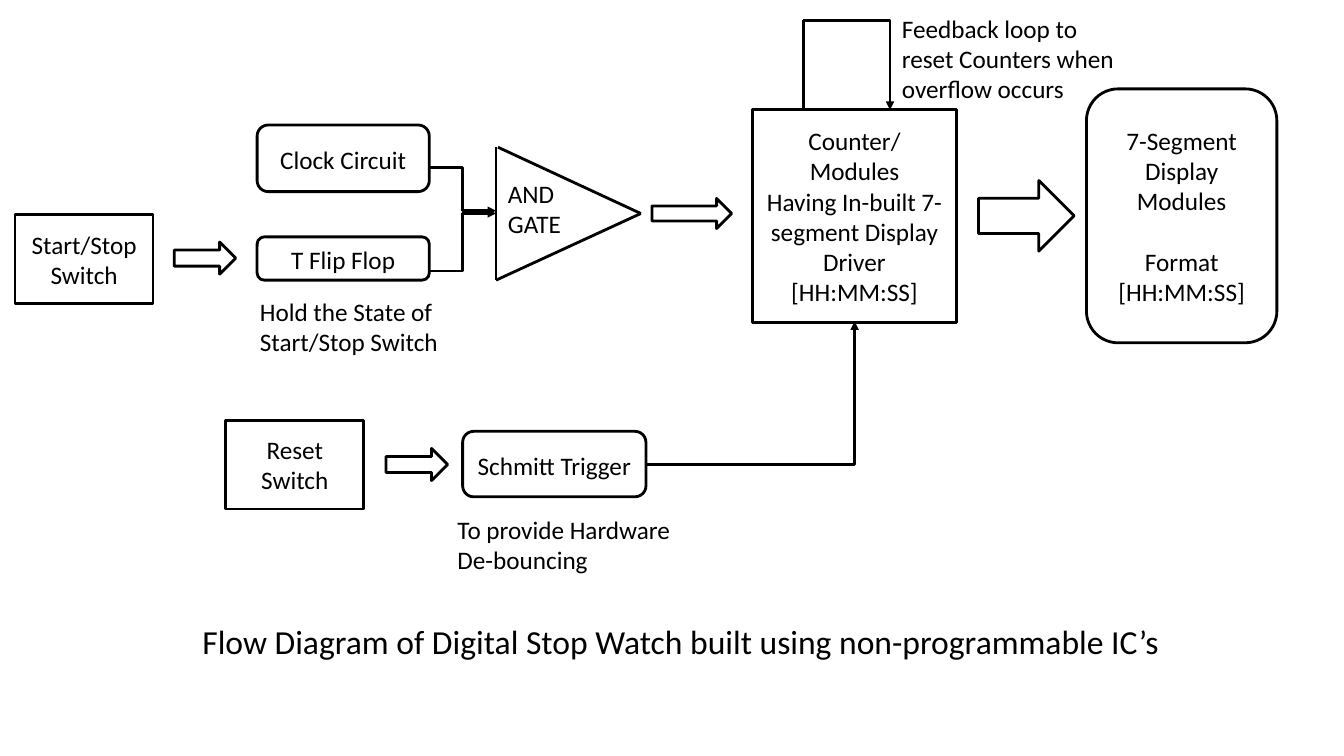
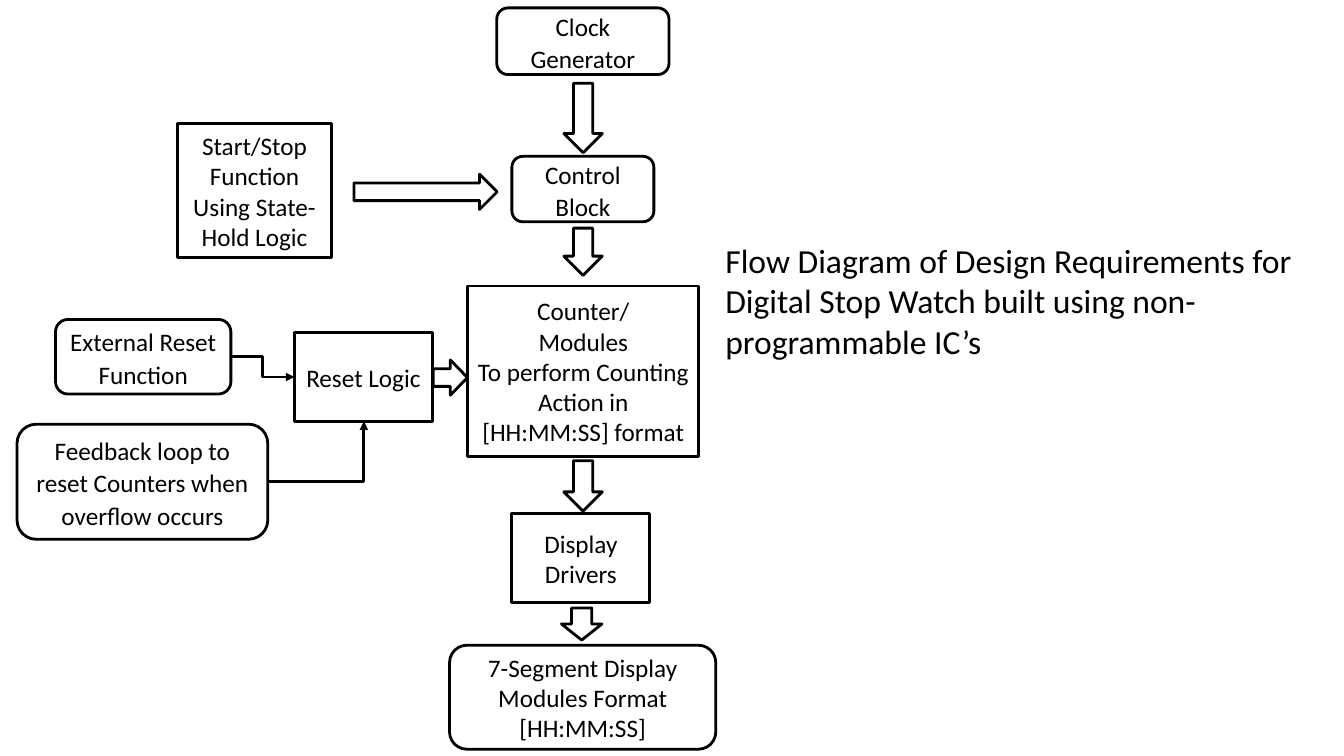
from lxml.etree import SubElement
from pptx import Presentation
from pptx.dml.color import RGBColor
from pptx.enum.shapes import MSO_CONNECTOR, MSO_SHAPE
from pptx.enum.text import MSO_ANCHOR, MSO_AUTO_SIZE, PP_ALIGN
from pptx.oxml.ns import qn
from pptx.util import Cm, Pt

# Shared look
INK = RGBColor.from_string("000000")
FONT = "Calibri"
BODY, TITLE = 18, 24
EDGE = Pt(2)
RECT, ROUND = MSO_SHAPE.RECTANGLE, MSO_SHAPE.ROUNDED_RECTANGLE
RIGHT, DOWN = MSO_SHAPE.RIGHT_ARROW, MSO_SHAPE.DOWN_ARROW
LINE, STEP, TURN = "line", "bentConnector3", "bentConnector2"
SWITCH = (3.48, 2.24)
CLOCK = (4.34, 1.68)
SMALL = (1.55, 0.81)


def put(page, kind, spot, text="", size=BODY):
    """Add a block, an arrow or, without a kind, a plain label."""
    area = [Cm(n) for n in spot]
    if kind is None:
        item = page.shapes.add_textbox(*area)
    else:
        item = page.shapes.add_shape(kind, *area)
        item.shadow.inherit = False
        item.fill.background()
        item.line.color.rgb = INK
        item.line.width = EDGE
    frame = item.text_frame
    frame.word_wrap = True
    if kind is None:
        frame.auto_size = MSO_AUTO_SIZE.SHAPE_TO_FIT_TEXT
    else:
        frame.vertical_anchor = MSO_ANCHOR.MIDDLE
    rows = text.split("\n") if text else []
    for i, row in enumerate(rows):
        para = frame.add_paragraph() if i else frame.paragraphs[0]
        para.alignment = PP_ALIGN.LEFT if kind is None else PP_ALIGN.CENTER
        if kind == ROUND and len(rows) == 1:
            para.line_spacing = 1.07
            para.space_after = Pt(8)
        run = para.add_run()
        run.text = row
        run.font.name = FONT
        run.font.size = Pt(size)
        run.font.color.rgb = INK
    return item


def wire(page, kind, *ends):
    """Add a line; bent ones end in an arrowhead."""
    form = MSO_CONNECTOR.STRAIGHT if kind == LINE else MSO_CONNECTOR.ELBOW
    link = page.shapes.add_connector(form, *[Cm(n) for n in ends])
    link.line.color.rgb = INK
    link.line.width = EDGE
    props = link._element.spPr
    props.find(qn("a:prstGeom")).set("prst", kind)
    if kind != LINE:
        SubElement(props.find(qn("a:ln")), qn("a:tailEnd"), type="triangle")
    SubElement(props, qn("a:effectLst"))


deck = Presentation()
deck.slide_width, deck.slide_height = Cm(33.87), Cm(19.05)
blank = deck.slide_layouts[6]

# Slide 1: circuit flow
page = deck.slides.add_slide(blank)
for kind, spot, text in [
    (ROUND, (6.48, 3.15, *CLOCK), "Clock Circuit"),
    (ROUND, (6.48, 5.97, 4.34, 1.09), "T Flip Flop"),
    (RECT, (0.38, 5.41, *SWITCH), "Start/Stop Switch"),
    (RIGHT, (4.39, 6.1, *SMALL), ""),
    (RECT, (18.97, 2.77, 5.13, 5.36),
     "Counter/\nModules\nHaving In-built 7-segment Display Driver\n[HH:MM:SS]"),
    (RIGHT, (16.43, 5, 2.01, 0.76), ""),
    (RIGHT, (24.66, 4.55, 2.41, 1.78), ""),
    (ROUND, (11.66, 10.87, 4.62, 1.65), "Schmitt Trigger"),
    (RECT, (5.69, 10.59, *SWITCH), "Reset Switch"),
    (RIGHT, (9.73, 11.3, *SMALL), ""),
    (None, (22.48, 0.2, 6.02, 2.57),
     "Feedback loop to reset Counters when overflow occurs"),
    (None, (11.28, 12.83, 5.92, 1.8), "To provide Hardware De-bouncing"),
    (None, (6.3, 7.34, 5.05, 1.8), "Hold the State of Start/Stop Switch"),
]:
    put(page, kind, spot, text)

# Display block, with a gap above its format
panel = put(page, ROUND, (27.38, 2.24, 4.8, 6.4),
            "7-Segment\nDisplay Modules\nFormat\n[HH:MM:SS]")
panel.text_frame.paragraphs[2].space_before = Pt(22)

# Gate label and caption
gate = put(page, None, (12.55, 4.37, 1.85, 1.8), "AND\nGATE")
gate.text_frame.word_wrap = False
put(page, None, (4.85, 15.52, 25.91, 1.27),
    "Flow Diagram of Digital Stop Watch built using non-programmable IC’s",
    TITLE)

# Gate outline, its inputs, feedback loop and reset
for kind, *ends in [
    (LINE, 12.5, 3.71, 12.5, 7.06),
    (LINE, 12.55, 3.71, 16.15, 5.38),
    (LINE, 12.5, 7.06, 16.15, 5.38),
    (STEP, 10.82, 4.22, 12.5, 5.31),
    (STEP, 10.82, 6.83, 12.5, 5.38),
    (LINE, 20.24, 0.51, 20.24, 2.77),
    (TURN, 20.24, 0.51, 22.43, 2.77),
    (TURN, 16.31, 11.71, 21.54, 8.1),
]:
    wire(page, kind, *ends)

# Slide 2: design requirements
page = deck.slides.add_slide(blank)
for kind, spot, text in [
    (ROUND, (12.52, 0.2, *CLOCK), "Clock Generator"),
    (RECT, (4.47, 3.12, 3.89, 3.38),
     "Start/Stop\nFunction\nUsing State-Hold Logic"),
    (RECT, (11.79, 7.21, 5.82, 4.29),
     "Counter/\nModules\nTo perform Counting Action in [HH:MM:SS] format"),
    (ROUND, (11.33, 16.26, 6.71, 2.62),
     "7-Segment Display\nModules Format\n[HH:MM:SS]"),
    (ROUND, (12.9, 3.94, 3.58, 1.65), "Control Block"),
    (RECT, (7.42, 8.38, *SWITCH), "Reset Logic"),
    (ROUND, (1.4, 8.05, 4.42, 1.88), "External Reset Function"),
    (RECT, (12.9, 12.95, *SWITCH), "Display Drivers"),
    (ROUND, (0.43, 10.69, 6.32, 2.9),
     "Feedback loop to reset Counters when overflow occurs"),
    (RIGHT, (8.92, 4.39, 3.61, 0.89), ""),
    (RIGHT, (10.92, 9.07, 0.86, 0.89), ""),
    (DOWN, (14.21, 2.1, 0.97, 1.75), ""),
    (DOWN, (14.21, 5.75, 0.97, 1.19), ""),
    (DOWN, (14.21, 11.61, 0.97, 1.27), ""),
    (DOWN, (14.15, 15.32, 1.02, 0.81), ""),
]:
    put(page, kind, spot, text)

# Caption and reset inputs
put(page, None, (18.03, 5.92, 15.49, 3.33),
    "Flow Diagram of Design Requirements for Digital Stop Watch "
    "built using non-programmable IC’s", TITLE)
wire(page, STEP, 5.82, 8.99, 7.42, 9.5)
wire(page, TURN, 6.76, 12.14, 9.17, 10.62)

deck.save("out.pptx")
